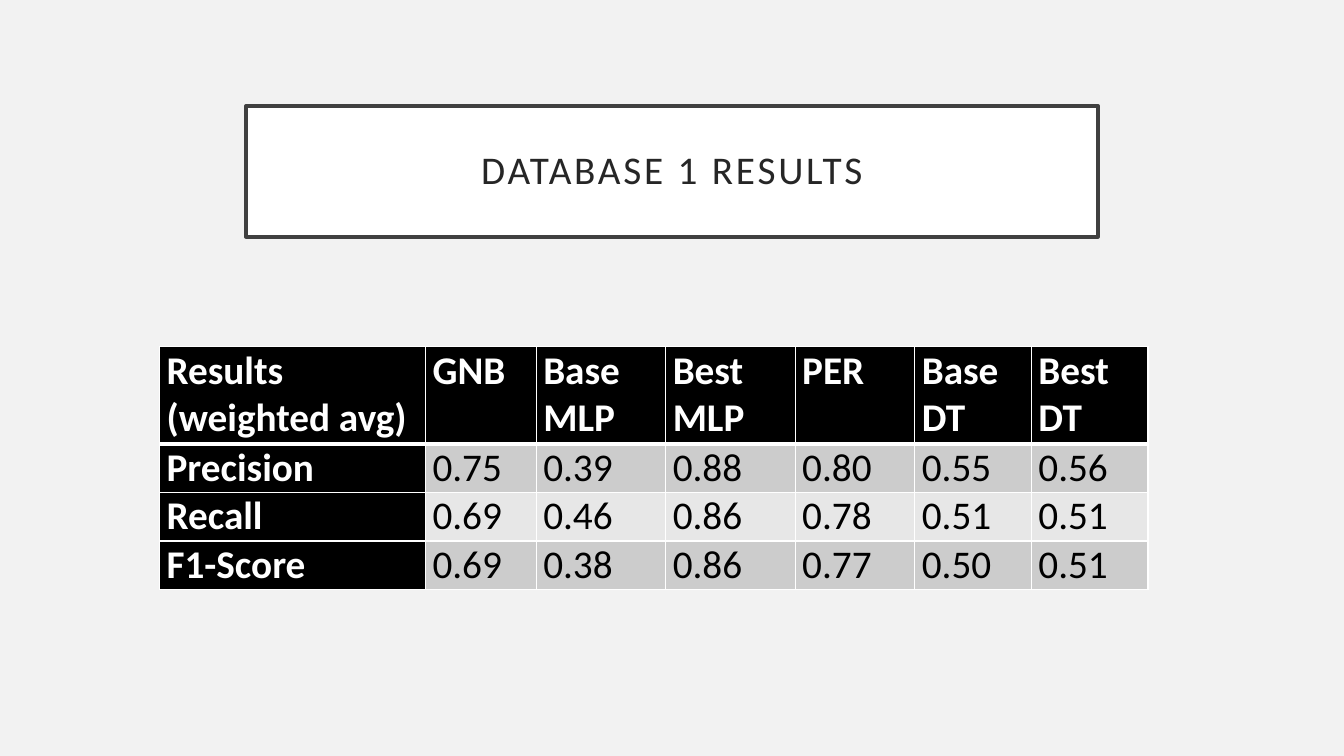
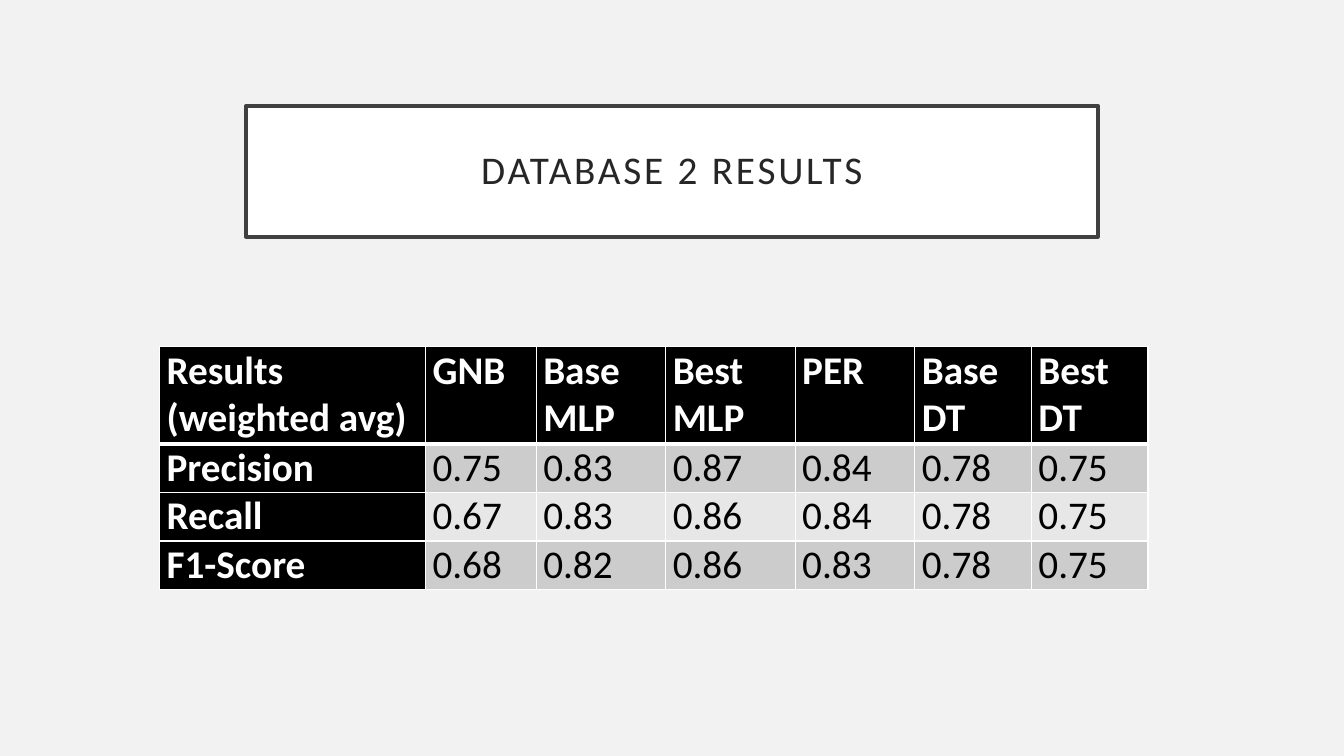
from dataclasses import dataclass

from lxml import etree
from pptx import Presentation
from pptx.dml.color import RGBColor
from pptx.enum.shapes import MSO_SHAPE
from pptx.enum.text import MSO_ANCHOR, PP_ALIGN
from pptx.oxml.ns import qn
from pptx.util import Inches, Pt

RECTANGLE = MSO_SHAPE.RECTANGLE
MIDDLE = MSO_ANCHOR.MIDDLE
CENTER = PP_ALIGN.CENTER


@dataclass(frozen=True)
class Theme:
    """Colours, type and line weights shared by the slides."""
    background: str = "F2F2F2"
    panel: str = "FFFFFF"
    frame: str = "404040"
    title_ink: str = "262626"
    heading_fill: str = "000000"
    heading_ink: str = "FFFFFF"
    value_ink: str = "000000"
    bands: tuple = ("CCCCCC", "E7E7E7")
    rule: str = "FFFFFF"
    font: str = "Calibri"
    size: float = 28
    tracking: int = 200
    frame_weight: float = 2.5
    rule_weight: float = 1
    header_rule_weight: float = 3


@dataclass(frozen=True)
class Box:
    """A region in EMU."""
    left: int
    top: int
    width: int
    height: int

    def region(self, left, top, width, height):
        """Return a region given in percent of this one."""
        return Box(round(self.left + self.width * left / 100),
                   round(self.top + self.height * top / 100),
                   round(self.width * width / 100),
                   round(self.height * height / 100))

    @property
    def edges(self):
        """Return the four numbers that place an object."""
        return self.left, self.top, self.width, self.height


THEME = Theme()
SLIDE = Box(0, 0, Inches(13.33), Inches(7.5))
TITLE_BOX = SLIDE.region(18.3, 14, 63.4, 17.33)
RESULTS_BOX = SLIDE.region(11.88, 45.87, 73.55, 32.13)

COLUMN_SHARES = (26.9, 11.2, 13.1, 13.1, 12.1, 11.8, 11.8)
ROW_SHARES = (40, 20, 20, 20)
TITLE_FRAME = {"margin_left": Inches(0.2), "margin_right": Inches(0.2),
               "margin_top": Inches(0.2), "margin_bottom": Inches(0.2),
               "vertical_anchor": MIDDLE, "word_wrap": True}
CELL_MARGINS = {"margin_left": Inches(0.07), "margin_right": Inches(0.07),
                "margin_top": 0, "margin_bottom": 0}

MODELS = ("Results (weighted avg)", "GNB", "Base MLP", "Best MLP", "PER",
          "Base DT", "Best DT")
METRICS = ("Precision", "Recall", "F1-Score")
DATABASES = {
    "DATABASE 1 RESULTS": (
        ("0.75", "0.39", "0.88", "0.80", "0.55", "0.56"),
        ("0.69", "0.46", "0.86", "0.78", "0.51", "0.51"),
        ("0.69", "0.38", "0.86", "0.77", "0.50", "0.51")),
    "DATABASE 2 RESULTS": (
        ("0.75", "0.83", "0.87", "0.84", "0.78", "0.75"),
        ("0.67", "0.83", "0.86", "0.84", "0.78", "0.75"),
        ("0.68", "0.82", "0.86", "0.83", "0.78", "0.75")),
}


def apply(target, values):
    """Set attributes from a dict of format values."""
    for attribute, value in values.items():
        setattr(target, attribute, value)


def paint(fill, colour):
    """Make a fill solid."""
    fill.solid()
    fill.fore_color.rgb = RGBColor.from_string(colour)


def write(paragraph, text, colour, bold=False):
    """Add one run in the theme's type and return it."""
    run = paragraph.add_run()
    run.text = text
    apply(run.font, {"name": THEME.font, "size": Pt(THEME.size), "bold": bold})
    run.font.color.rgb = RGBColor.from_string(colour)
    return run


def rule_cell(cell, top, bottom):
    """Draw the four borders of a cell, with its own top and bottom weights."""
    weights = {"a:lnL": THEME.rule_weight, "a:lnR": THEME.rule_weight,
               "a:lnT": top, "a:lnB": bottom}
    properties = cell._tc.get_or_add_tcPr()
    for tag, weight in weights.items():
        border = etree.SubElement(properties, qn(tag), w=str(Pt(weight)))
        solid = etree.SubElement(border, qn("a:solidFill"))
        etree.SubElement(solid, qn("a:srgbClr"), val=THEME.rule)


def add_title(slide, box, title):
    """Place the framed, letter-spaced title."""
    panel = slide.shapes.add_shape(RECTANGLE, *box.edges)
    panel.shadow.inherit = False
    paint(panel.fill, THEME.panel)
    paint(panel.line.fill, THEME.frame)
    panel.line.width = Pt(THEME.frame_weight)
    apply(panel.text_frame, TITLE_FRAME)
    paragraph = panel.text_frame.paragraphs[0]
    apply(paragraph, {"alignment": CENTER, "line_spacing": 0.9})
    run = write(paragraph, title, THEME.title_ink)
    run._r.get_or_add_rPr().set("spc", str(THEME.tracking))


def add_results(slide, box, scores):
    """Place the table of scores by metric and model."""
    rows = [MODELS] + [(metric, *values)
                       for metric, values in zip(METRICS, scores)]
    table = slide.shapes.add_table(len(rows), len(MODELS), *box.edges).table
    table.horz_banding = False
    for column, share in zip(table.columns, COLUMN_SHARES):
        column.width = round(box.width * share / 100)
    for row, share in zip(table.rows, ROW_SHARES):
        row.height = round(box.height * share / 100)
    for r, texts in enumerate(rows):
        top = THEME.header_rule_weight if r == 1 else THEME.rule_weight
        bottom = THEME.header_rule_weight if r == 0 else THEME.rule_weight
        for c, text in enumerate(texts):
            cell = table.cell(r, c)
            heading = r == 0 or c == 0
            apply(cell, CELL_MARGINS)
            rule_cell(cell, top, bottom)
            paint(cell.fill, THEME.heading_fill if heading
                  else THEME.bands[(r - 1) % 2])
            write(cell.text_frame.paragraphs[0], text,
                  THEME.heading_ink if heading else THEME.value_ink, heading)


def main():
    """Build one results slide per database."""
    deck = Presentation()
    apply(deck, {"slide_width": SLIDE.width, "slide_height": SLIDE.height})
    paint(deck.slide_master.background.fill, THEME.background)
    blank = deck.slide_layouts[6]
    for title, scores in DATABASES.items():
        slide = deck.slides.add_slide(blank)
        add_title(slide, TITLE_BOX, title)
        add_results(slide, RESULTS_BOX, scores)
    deck.save("out.pptx")


if __name__ == "__main__":
    main()
